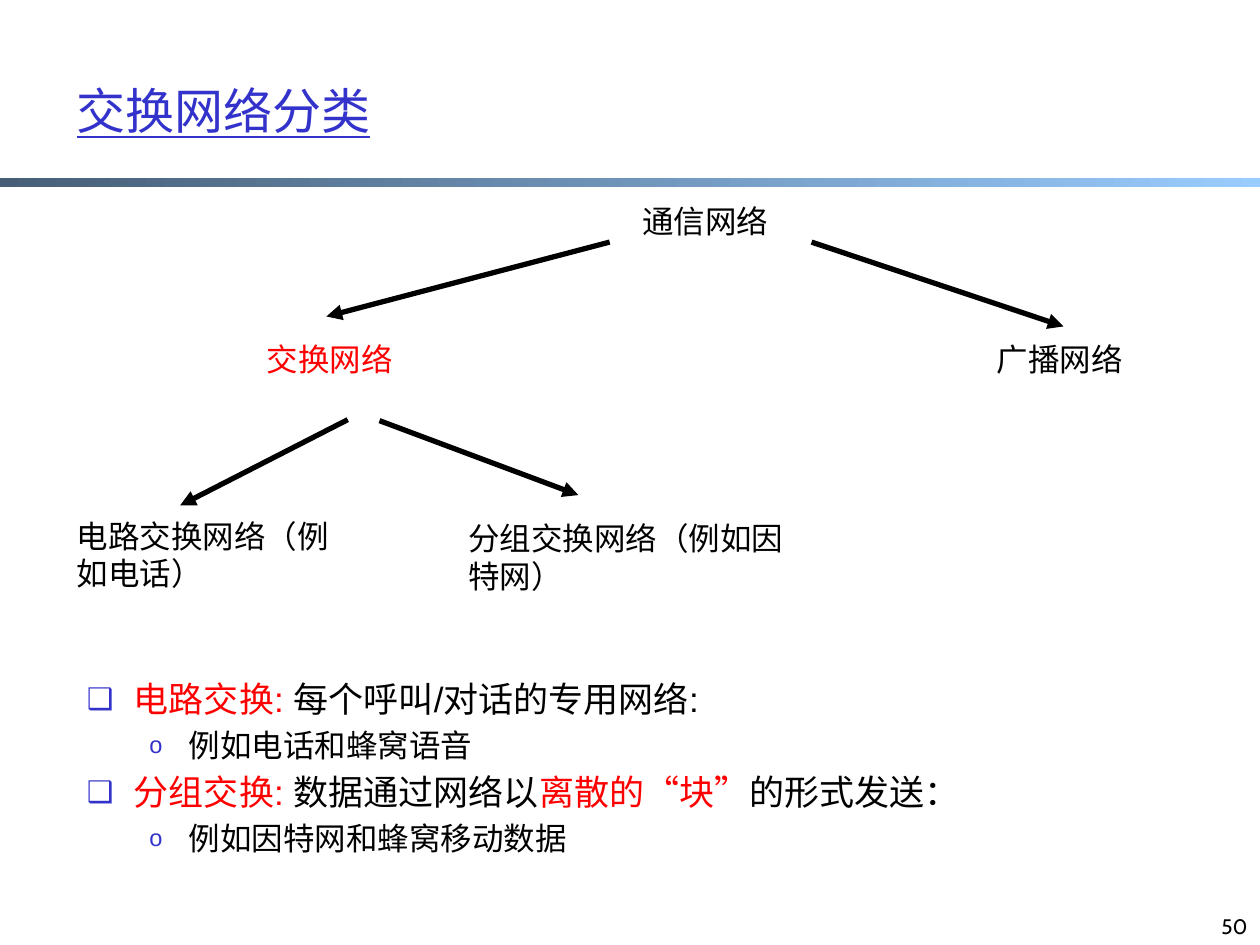
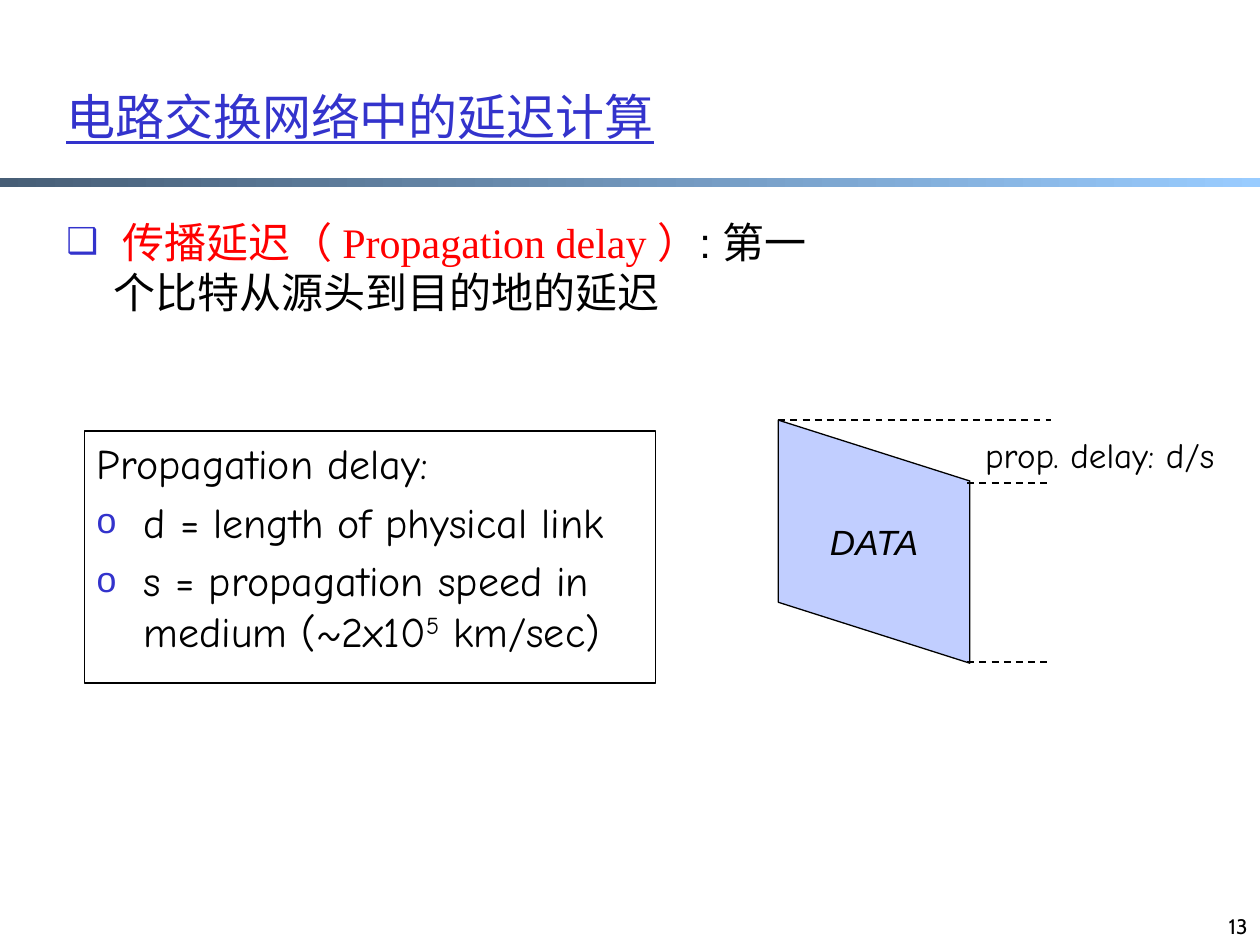
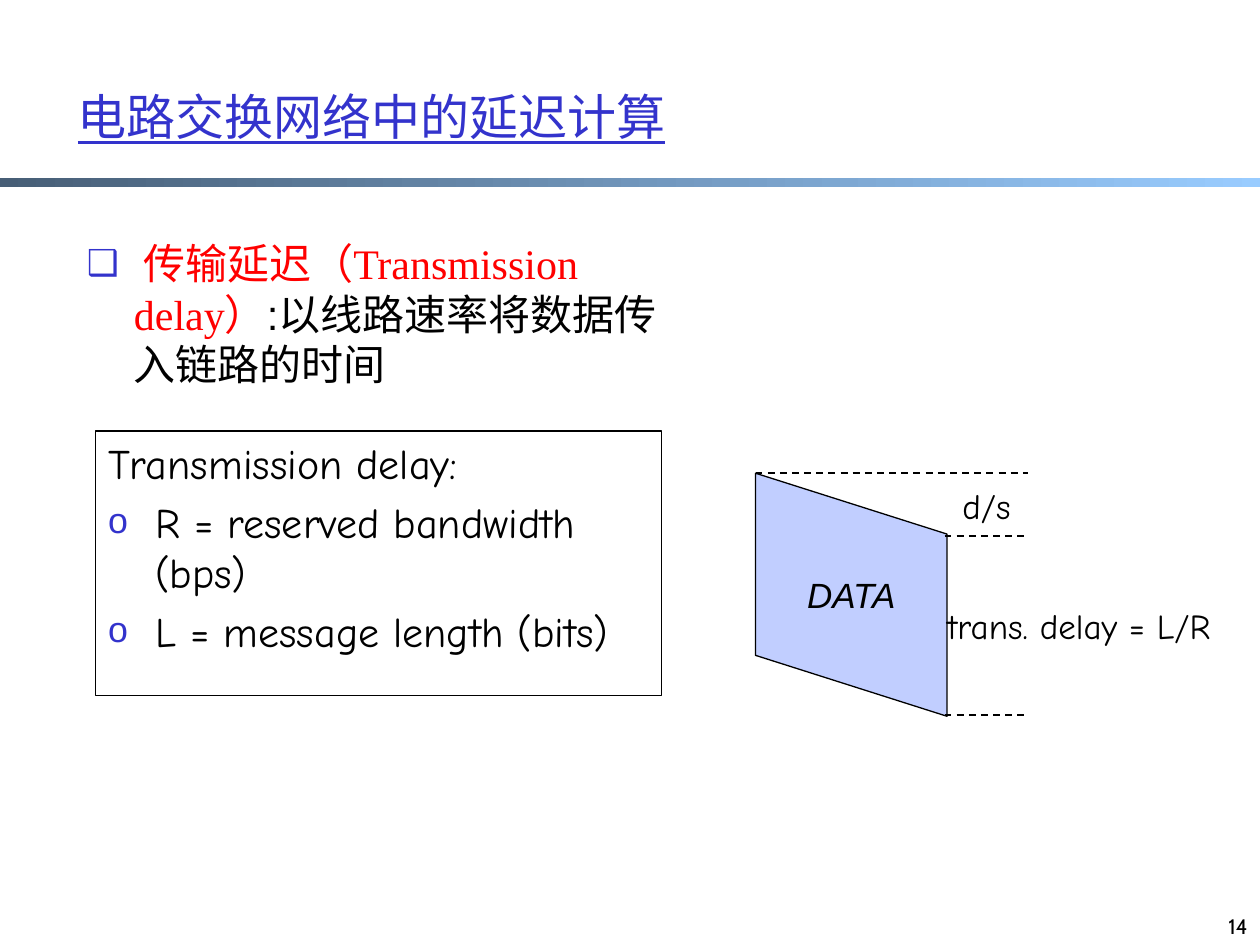
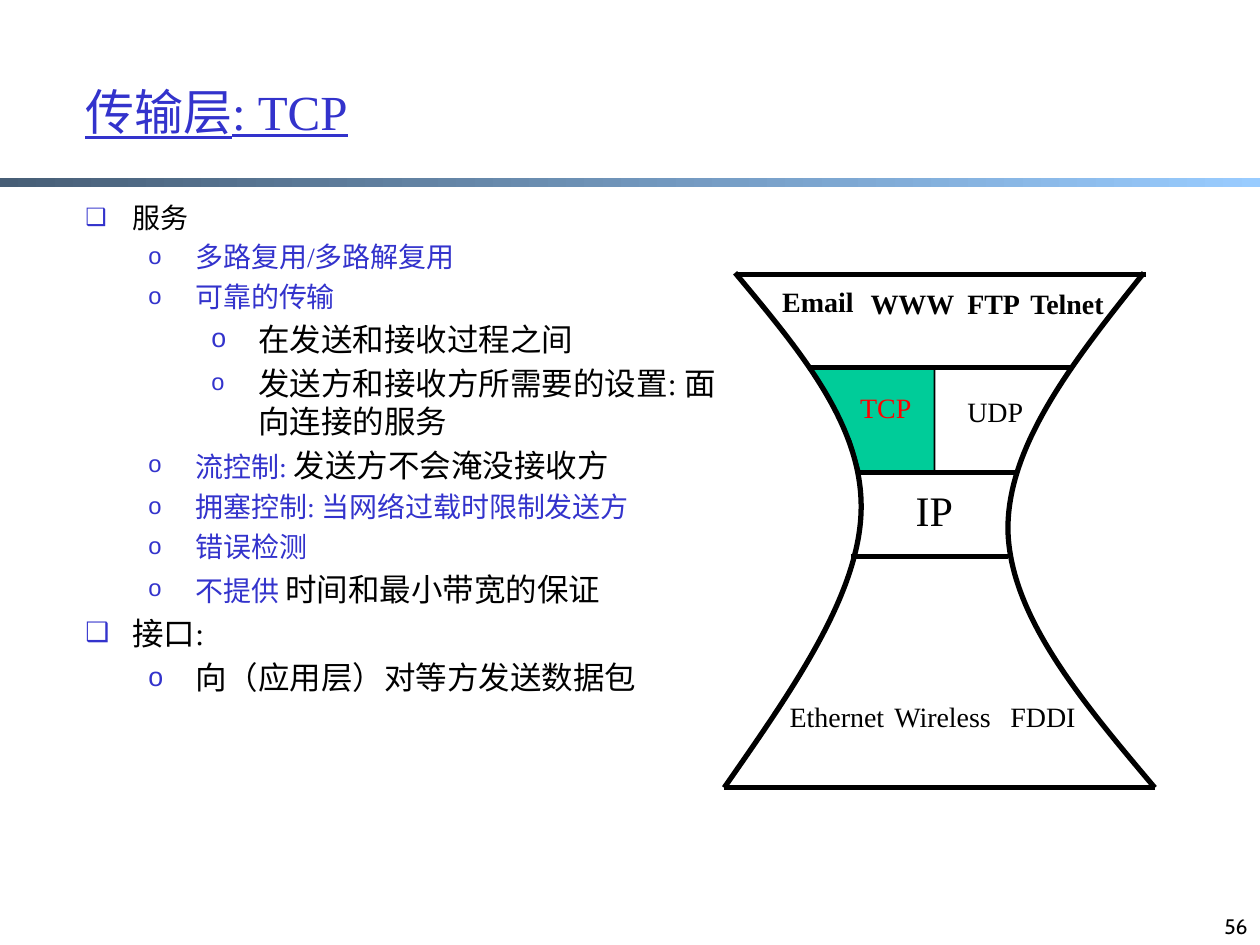
from lxml.etree import SubElement
from pptx import Presentation
from pptx.dml.color import RGBColor
from pptx.enum.dml import MSO_LINE
from pptx.enum.shapes import MSO_CONNECTOR, MSO_SHAPE
from pptx.enum.text import MSO_ANCHOR, PP_ALIGN
from pptx.oxml.ns import qn
from pptx.util import Cm, Pt

BLACK = RGBColor(0x00, 0x00, 0x00)
RED = RGBColor(0xFF, 0x00, 0x00)
BLUE = RGBColor(0x33, 0x33, 0xCC)
GREEN = RGBColor(0x00, 0xCC, 0x99)
LAVENDER = RGBColor(0xC1, 0xCE, 0xFF)
BAND_COLORS = (RGBColor(0x47, 0x5E, 0x76), RGBColor(0x99, 0xCC, 0xFF))

ARIAL = "Arial"
TIMES = "Times New Roman"
COMIC = "Comic Neue"
CABIN = "Cabin"

HANGING = 0.95
LEVEL_STEP = 1.27
BULLETS = ("❑", "o", "o")


def add_run(paragraph, text, size=18, font=ARIAL, color=BLACK, bold=None,
            italic=None, underline=None, raised=False):
    run = paragraph.add_run()
    run.text = text
    run.font.size = Pt(size)
    run.font.name = font
    run.font.color.rgb = color
    run.font.bold = bold
    run.font.italic = italic
    run.font.underline = underline
    if raised:
        run._r.get_or_add_rPr().set("baseline", "30000")


def set_bullet(paragraph, character, percent):
    properties = paragraph._p.get_or_add_pPr()
    color = SubElement(properties, qn("a:buClr"))
    SubElement(color, qn("a:srgbClr"), val=str(BLUE))
    SubElement(properties, qn("a:buSzPct"), val=str(percent * 1000))
    SubElement(properties, qn("a:buFont"), typeface=ARIAL)
    SubElement(properties, qn("a:buChar"), char=character)


def set_indent(paragraph, margin, hanging):
    properties = paragraph._p.get_or_add_pPr()
    properties.set("marL", str(Cm(margin)))
    properties.set("indent", str(-Cm(hanging)))


def add_item(frame, runs, level=0, bullet=None, percent=85, margin=None,
             hanging=HANGING, size=18, **style):
    paragraph = frame.paragraphs[0]
    if paragraph.runs:
        paragraph = frame.add_paragraph()
        paragraph.space_before = Pt(round(size * 0.2, 1))
    paragraph.level = level
    set_indent(paragraph, margin or HANGING + level * LEVEL_STEP, hanging)
    if bullet:
        set_bullet(paragraph, bullet, percent)
    for text, changes in runs:
        add_run(paragraph, text, **{"size": size, **style, **changes})


def add_frame(slide, left, top, width, height, wrap=True, anchor=MSO_ANCHOR.TOP):
    box = slide.shapes.add_textbox(Cm(left), Cm(top), Cm(width), Cm(height))
    box.text_frame.word_wrap = wrap
    box.text_frame.vertical_anchor = anchor
    return box.text_frame


def add_label(slide, text, left, top, width, height, wrap=False,
              anchor=MSO_ANCHOR.TOP, align=PP_ALIGN.LEFT, **style):
    frame = add_frame(slide, left, top, width, height, wrap, anchor)
    frame.paragraphs[0].alignment = align
    add_run(frame.paragraphs[0], text, **style)


def add_line(slide, start, end, width=3, arrow=False, dashed=False):
    line = slide.shapes.add_connector(
        MSO_CONNECTOR.STRAIGHT, *(Cm(value) for value in (*start, *end)))
    SubElement(line._element.spPr, qn("a:effectLst"))
    line.line.color.rgb = BLACK
    line.line.width = Pt(width)
    if dashed:
        line.line.dash_style = MSO_LINE.DASH
    if arrow:
        SubElement(line.line._get_or_add_ln(), qn("a:tailEnd"), type="triangle")


def style_shape(shape, fill=None, line_width=None):
    shape.shadow.inherit = False
    if fill:
        shape.fill.solid()
        shape.fill.fore_color.rgb = fill
    else:
        shape.fill.background()
    shape.line.color.rgb = BLACK
    shape.line.width = Pt(line_width)


def add_outline(slide, points, closed=False, fill=None, width=3):
    corners = [(Cm(x), Cm(y)) for x, y in points]
    builder = slide.shapes.build_freeform(*corners[0])
    builder.add_line_segments(corners[1:], close=closed)
    shape = builder.convert_to_shape()
    style_shape(shape, fill, width)
    return shape


def add_curve(slide, points):
    shape = add_outline(slide, points)
    outline = shape._element.find(".//" + qn("a:path"))
    segments = outline.findall(qn("a:lnTo"))
    for first in range(0, len(segments), 3):
        curve = SubElement(outline, qn("a:cubicBezTo"))
        for segment in segments[first:first + 3]:
            curve.append(segment[0])
            outline.remove(segment)


def add_base_slide(presentation, number, title, left, top, width, height,
                   font=ARIAL, anchor=MSO_ANCHOR.MIDDLE):
    slide = presentation.slides.add_slide(presentation.slide_layouts[6])
    band = slide.shapes.add_shape(
        MSO_SHAPE.RECTANGLE, 0, Cm(3.58), presentation.slide_width, Cm(0.2))
    band.shadow.inherit = False
    band.line.fill.background()
    band.fill.gradient()
    band.fill.gradient_angle = 0
    for stop, color in zip(band.fill.gradient_stops, BAND_COLORS):
        stop.color.rgb = color
    add_label(slide, number, 19.48, 17.78, 5.92, 1.27, wrap=True,
              anchor=MSO_ANCHOR.BOTTOM, align=PP_ALIGN.RIGHT, size=12, font=CABIN)
    add_label(slide, title, left, top, width, height, wrap=True, anchor=anchor,
              size=28, font=font, color=BLUE, underline=True)
    return slide


def add_definition_box(slide, heading, items, left, top, width, height):
    box = slide.shapes.add_shape(
        MSO_SHAPE.RECTANGLE, Cm(left), Cm(top), Cm(width), Cm(height))
    style_shape(box, line_width=0.75)
    frame = box.text_frame
    frame.word_wrap = True
    frame.vertical_anchor = MSO_ANCHOR.TOP
    add_item(frame, [(heading, {})], size=24, font=COMIC)
    for runs in items:
        add_item(frame, runs, bullet="o", size=24, font=COMIC)
    for paragraph in frame.paragraphs:
        paragraph.alignment = PP_ALIGN.LEFT


def add_data_block(slide, left, top):
    across, down = 3.86, 4.9
    shift = (down - across) / 2
    block = slide.shapes.add_shape(
        MSO_SHAPE.PARALLELOGRAM, Cm(left - shift), Cm(top + shift), Cm(down), Cm(across))
    block.rotation = 90
    block.adjustments[0] = 0.318
    style_shape(block, LAVENDER, 0.75)
    frame = block.text_frame
    frame.word_wrap = False
    frame.vertical_anchor = MSO_ANCHOR.MIDDLE
    frame._txBody.bodyPr.set("vert", "vert270")
    add_run(frame.paragraphs[0], "DATA", size=20, italic=True)
    for start, drop in ((0, 0), (3.81, 1.27), (3.81, 4.87)):
        add_line(slide, (left + start, top + drop), (left + 5.49, top + drop),
                 width=1, dashed=True)


def add_delay_text(slide, chinese, english, closing, meaning, *place):
    frame = add_frame(slide, *place)
    red = {"color": RED}
    add_item(frame, [(chinese, red), (english, {"color": RED, "font": TIMES}),
                     (closing, red), (meaning, {})], bullet=BULLETS[0], size=24)


def add_network_types(presentation):
    slide = add_base_slide(presentation, "50", "交换网络分类", 1.3, 1.5, 21.59, 1.68,
                           anchor=MSO_ANCHOR.TOP)
    red = {"color": RED}
    frame = add_frame(slide, 1.5, 13.54, 22.81, 4.22)
    definitions = (
        ([("电路交换: ", red), ("每个呼叫/对话的专用网络:", {})], "例如电话和蜂窝语音"),
        ([("分组交换: ", red), ("数据通过网络以", {}), ("离散的“块”", red),
          ("的形式发送：", {})], "例如因特网和蜂窝移动数据"),
    )
    for runs, example in definitions:
        add_item(frame, runs, bullet=BULLETS[0], size=20)
        add_item(frame, [(example, {})], level=1, bullet=BULLETS[1], percent=75,
                 margin=2.06, hanging=0.8)
    networks = (
        ("通信网络", 12.7, 3.94, 3.78, 1.02, BLACK),
        ("交换网络", 5.13, 6.73, 5.72, 1.02, RED),
        ("广播网络", 19.84, 6.73, 3.53, 1.02, BLACK),
        ("电路交换网络（例如电话）", 1.3, 10.29, 5.72, 1.8, BLACK),
        ("分组交换网络（例如因特网）", 9.19, 10.34, 7.01, 1.8, BLACK),
    )
    for text, left, top, width, height, color in networks:
        add_label(slide, text, left, top, width, height, wrap=True, color=color)
    branches = (
        ((12.29, 4.88), (6.58, 6.38)),
        ((16.36, 4.88), (21.44, 6.58)),
        ((7.01, 8.46), (3.63, 10.19)),
        ((7.65, 8.48), (11.66, 9.98)),
    )
    for start, end in branches:
        add_line(slide, start, end, arrow=True)


def add_propagation_delay(presentation):
    slide = add_base_slide(presentation, "13", "电路交换网络中的延迟计算",
                           1.09, 0.74, 22.78, 3.18)
    add_delay_text(slide, " 传播延迟（ ", "Propagation delay ", "）",
                   ": 第一个比特从源头到目的地的延迟", 1.09, 4.24, 15.9, 2.31)
    add_data_block(slide, 15.69, 8.47)
    add_label(slide, "prop. delay: d/s", 19.61, 8.61, 5.66, 1.12, size=20, font=COMIC)
    add_definition_box(
        slide, "Propagation delay:",
        [[("d = length of physical link", {})],
         [("s = propagation speed in medium (~2x10", {}), ("5", {"raised": True}),
          (" km/sec)", {})]],
        1.7, 8.69, 11.51, 5.08)


def add_transmission_delay(presentation):
    slide = add_base_slide(presentation, "14", "电路交换网络中的延迟计算",
                           1.32, 0.74, 22.78, 3.18)
    add_definition_box(
        slide, "Transmission delay:",
        [[("R = reserved bandwidth (bps)", {})], [("L = message length (bits)", {})]],
        1.93, 8.69, 11.4, 5.33)
    add_data_block(slide, 15.23, 9.54)
    add_label(slide, "d/s", 19.15, 9.65, 1.63, 1.09, size=20, font=COMIC)
    add_label(slide, "trans. delay = L/R", 18.85, 12.07, 6.53, 1.12, size=20, font=COMIC)
    add_delay_text(slide, " 传输延迟（", "Transmission delay", "）",
                   ":以线路速率将数据传入链路的时间", 1.5, 4.67, 12.09, 3.33)


def add_hourglass(slide):
    add_outline(slide, [(16.3, 7.41), (18.84, 7.41), (18.84, 9.53), (17.34, 9.53),
                        (17.15, 8.89), (16.72, 8.04)], closed=True, fill=GREEN, width=1)
    add_curve(slide, [(14.82, 5.5), (16.1, 7.04), (17.4, 8.56), (17.36, 10.29),
                      (17.32, 12.01), (15.95, 13.94), (14.6, 15.88)])
    add_curve(slide, [(23.06, 5.5), (21.67, 7.24), (20.3, 8.97), (20.32, 10.69),
                      (20.36, 12.42), (21.82, 14.15), (23.28, 15.88)])
    layer_lines = ((14.86, 23.11, 5.54), (16.3, 21.59, 7.41), (17.34, 20.52, 9.53),
                   (17.15, 20.32, 11.22), (14.6, 23.28, 15.88))
    for left, right, top in layer_lines:
        add_line(slide, (left, top), (right, top))
    add_line(slide, (18.84, 7.41), (18.84, 9.53), width=1)
    add_label(slide, "IP", 18.21, 9.65, 1.27, 1.27, size=24, font=TIMES)
    protocols = (
        ("Email", 15.52, 5.61, 1.96, {"bold": True}),
        ("WWW", 17.3, 5.66, 2.21, {"bold": True}),
        ("FTP", 19.25, 5.66, 1.57, {"bold": True}),
        ("Telnet", 20.52, 5.66, 2.06, {"bold": True}),
        ("TCP", 17.09, 7.75, 1.55, {"color": RED}),
        ("UDP", 19.25, 7.82, 1.63, {}),
        ("Ethernet", 15.67, 13.97, 2.44, {}),
        ("Wireless", 17.78, 13.97, 2.49, {}),
        ("FDDI", 20.12, 13.97, 1.83, {}),
    )
    for text, left, top, width, style in protocols:
        add_label(slide, text, left, top, width, 0.94, size=16, font=TIMES, **style)


def add_transport_layer(presentation):
    slide = add_base_slide(presentation, "56", "传输层: TCP", 1.47, 0.64, 21.59, 3.18,
                           font=TIMES)
    frame = add_frame(slide, 1.47, 3.91, 13.34, 14.68)
    small = {"size": 16}
    blue = {"size": 16, "color": BLUE}
    large = {"size": 18}
    items = (
        (0, 85, [("服务", small)]),
        (1, 85, [("多路复用/多路解复用", blue)]),
        (1, 85, [("可靠的传输", blue)]),
        (2, 85, [("在发送和接收过程之间", large)]),
        (2, 75, [("发送方和接收方所需要的设置: 面向连接的服务", large)]),
        (1, 85, [("流控制: ", blue), ("发送方不会淹没接收方", large)]),
        (1, 85, [("拥塞控制: 当网络过载时限制发送方", blue)]),
        (1, 85, [("错误检测", blue)]),
        (1, 85, [("不提供 ", blue), ("时间和最小带宽的保证", large)]),
        (0, 85, [("接口:", large)]),
        (1, 85, [("向（应用层）对等方发送数据包", large)]),
    )
    for level, percent, runs in items:
        add_item(frame, runs, level=level, bullet=BULLETS[level], percent=percent,
                 font=TIMES)
    add_hourglass(slide)


def main():
    presentation = Presentation()
    presentation.slide_width = Cm(25.4)
    presentation.slide_height = Cm(19.05)
    add_network_types(presentation)
    add_propagation_delay(presentation)
    add_transmission_delay(presentation)
    add_transport_layer(presentation)
    presentation.save("out.pptx")


if __name__ == "__main__":
    main()
